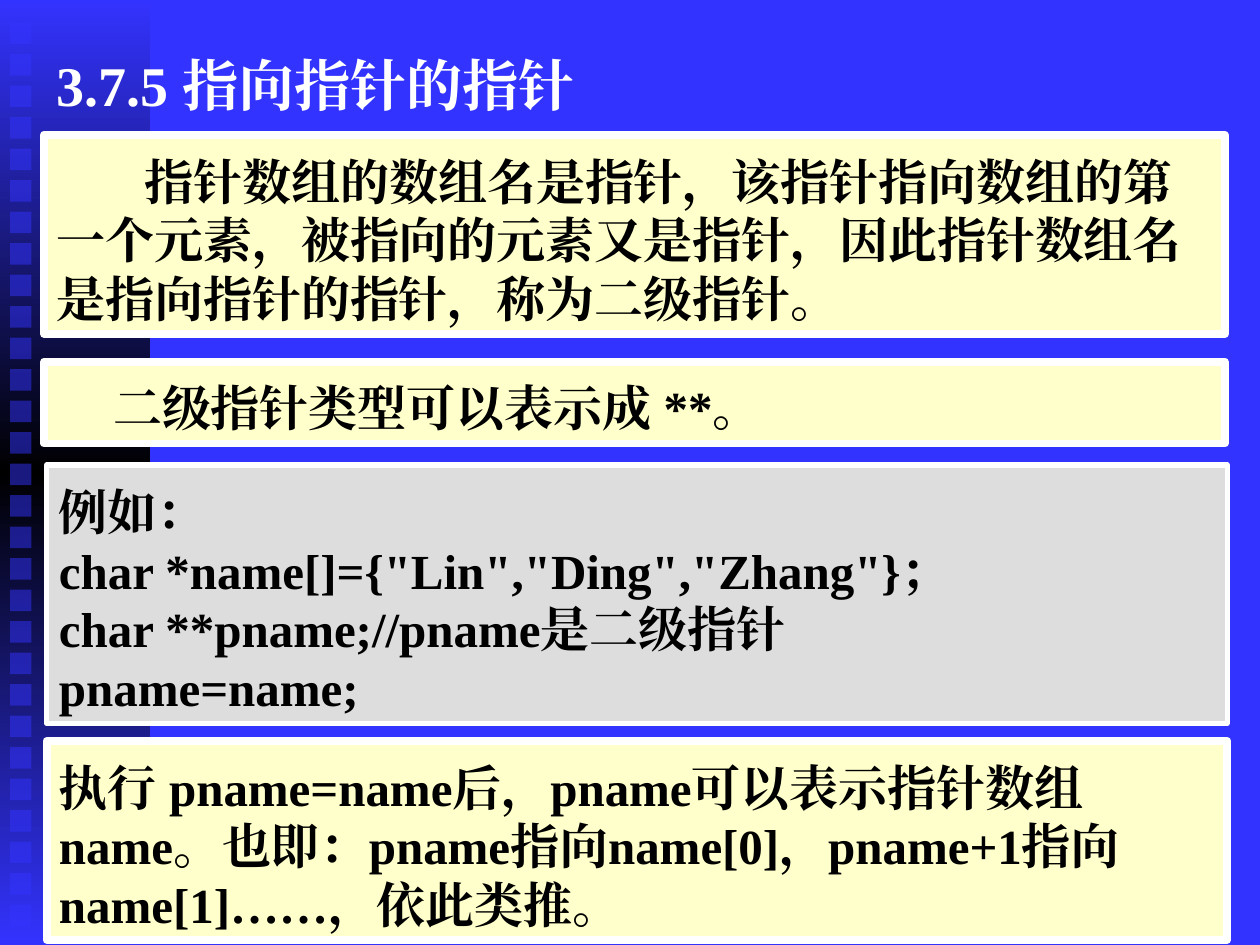
from copy import deepcopy

from lxml import etree
from pptx import Presentation
from pptx import util as u
from pptx.dml.color import RGBColor
from pptx.enum import shapes, text
from pptx.oxml.ns import qn

BLUE = RGBColor(0x33, 0x33, 0xFF)
BLACK = RGBColor(0, 0, 0)
WHITE = RGBColor(255, 255, 255)
CREAM = RGBColor(0xFF, 0xFF, 0xCC)
GREY = RGBColor(0xDD, 0xDD, 0xDD)
FACE = "Times New Roman"

INTRO = "指针数组的数组名是指针，该指针指向数组的第一个元素，被指向的元素又是指针，因此指针数组名是指向指针的指针，称为二级指针。"
TYPE = "二级指针类型可以表示成 **。"
CODE = """例如：
char *name[]={"Lin","Ding","Zhang"}；
char **pname;//pname是二级指针
pname=name;"""
RESULT = "执行 pname=name后，pname可以表示指针数组name。也即：pname指向name[0]，pname+1指向name[1]……，依此类推。"


class Deck:
    def __init__(self):
        self.prs = Presentation()
        self.prs.slide_width = u.Inches(10)
        self.prs.slide_height = u.Inches(7.5)
        self.slide = self.prs.slides.add_slide(self.prs.slide_layouts[5])
        back = self.slide.background.fill
        back.solid()
        back.fore_color.rgb = BLUE

    def rect(self, host, *place):
        box = host.add_shape(shapes.MSO_SHAPE.RECTANGLE, *map(u.Inches, place))
        box.shadow.inherit = False
        box.line.fill.background()
        return box

    def band(self):
        group = self.slide.shapes.add_group_shape().shapes
        fill = self.rect(group, 0, 0, 1.19, 7.5).fill
        fill.gradient()
        fill.gradient_angle = 90
        first = fill.gradient_stops[0]._gs
        first.addnext(deepcopy(first))
        for stop, color, pos in zip(fill.gradient_stops, (BLUE, BLACK, BLUE), (0, 0.5, 1)):
            stop.color.rgb = color
            stop.position = pos
        for row in range(29):
            tile = self.rect(group, 0.08, 0.18 + row * 0.25, 0.17, 0.17)
            tile.fill.solid()
            tile.fill.fore_color.rgb = BLUE
            tint = next(tile._element.iter(qn("a:srgbClr")))
            etree.SubElement(tint, qn("a:alpha"), val="50000")

    def label(self, box, words, size, color, top=0.05, indent=0, pitch=None):
        frame = box.text_frame
        frame.text = words
        form = {"word_wrap": True, "margin_left": u.Inches(0.1),
                "margin_right": u.Inches(0.1), "margin_top": u.Inches(top),
                "margin_bottom": u.Inches(0.05), "auto_size": text.MSO_AUTO_SIZE.NONE}
        for key, value in form.items():
            setattr(frame, key, value)
        style = {"name": FACE, "size": u.Pt(size), "bold": True}
        for para in frame.paragraphs:
            para.alignment = text.PP_ALIGN.LEFT
            para.line_spacing = pitch
            para._p.get_or_add_pPr().set("indent", str(u.Inches(indent)))
            for run in para.runs:
                for key, value in style.items():
                    setattr(run.font, key, value)
                run.font.color.rgb = color
                latin = run._r.rPr.find(qn("a:latin"))
                latin.addnext(etree.Element(qn("a:ea"), typeface=FACE))

    def title(self, words):
        box = self.slide.shapes.title
        self.slide.shapes._spTree.append(box._element)
        place = {"left": 0.35, "top": 0.29, "width": 8.44, "height": 0.75}
        for key, value in place.items():
            setattr(box, key, u.Inches(value))
        self.label(box, words, 32, WHITE)
        box.text_frame.vertical_anchor = text.MSO_ANCHOR.MIDDLE

    def panel(self, left, top, high, words, fill=CREAM, edge=4.5, indent=0):
        box = self.rect(self.slide.shapes, left, top, 9.37, high)
        box.fill.solid()
        box.fill.fore_color.rgb = fill
        box.line.color.rgb = WHITE
        box.line.width = u.Pt(edge)
        self.label(box, words, 28, BLACK, 0.13, indent, u.Pt(33.6))
        box.text_frame.vertical_anchor = text.MSO_ANCHOR.TOP


def main():
    deck = Deck()
    deck.band()
    deck.title("3.7.5 指向指针的指针")
    deck.panel(0.35, 1.07, 1.58, INTRO, indent=0.7)
    deck.panel(0.35, 2.87, 0.65, TYPE, indent=0.45)
    deck.panel(0.37, 3.69, 2.05, CODE, GREY, 3)
    deck.panel(0.37, 5.88, 1.58, RESULT)
    deck.prs.save("out.pptx")


if __name__ == "__main__":
    main()
